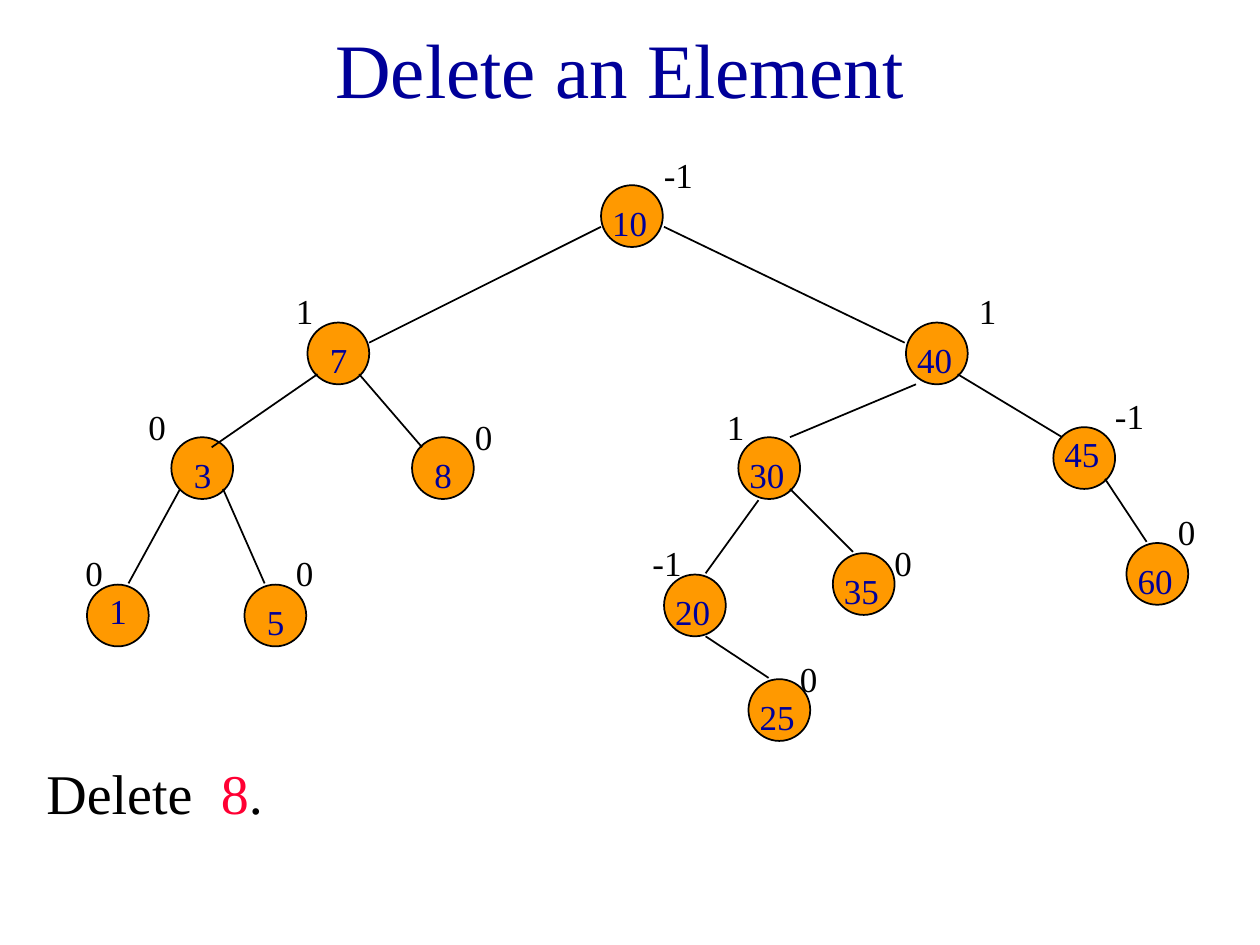
from dataclasses import dataclass
from typing import NamedTuple

from pptx import Presentation
from pptx.dml.color import RGBColor
from pptx.enum.shapes import MSO_CONNECTOR, MSO_SHAPE
from pptx.enum.text import MSO_ANCHOR, MSO_AUTO_SIZE, PP_ALIGN
from pptx.oxml.ns import qn
from pptx.util import Inches, Pt


@dataclass(frozen=True)
class Theme:
    font: str = "Times New Roman"
    navy: RGBColor = RGBColor(0x00, 0x00, 0x99)
    black: RGBColor = RGBColor(0x00, 0x00, 0x00)
    white: RGBColor = RGBColor(0xFF, 0xFF, 0xFF)
    orange: RGBColor = RGBColor(0xFF, 0x99, 0x00)
    red: RGBColor = RGBColor(0xFF, 0x00, 0x33)
    title_size: int = 44
    task_size: int = 32
    label_size: int = 20
    line_width: float = 1


class Span(NamedTuple):
    text: str
    color: RGBColor


class Node(NamedTuple):
    key: str
    left: float
    top: float
    balance: str
    balance_left: float
    balance_top: float
    key_drop: float = 0.08


class Edge(NamedTuple):
    x1: float
    y1: float
    x2: float
    y2: float


THEME = Theme()
DIAMETER = 0.49
LABEL_HEIGHT = 0.43
KEY_WIDTH = 0.5

NODES = [
    Node("10", 4.77, 1.47, "-1", 5.17, 1.17),
    Node("7", 2.44, 2.56, "1", 2.25, 2.25),
    Node("40", 7.19, 2.56, "1", 7.67, 2.25),
    Node("3", 1.36, 3.47, "0", 1.08, 3.17),
    Node("8", 3.27, 3.47, "0", 3.67, 3.25),
    Node("30", 5.86, 3.47, "1", 5.67, 3.17),
    Node("45", 8.36, 3.39, "-1", 8.75, 3.08, key_drop=-0.01),
    Node("1", 0.69, 4.64, "0", 0.58, 4.33, key_drop=-0.01),
    Node("5", 1.94, 4.64, "0", 2.25, 4.33),
    Node("20", 5.27, 4.56, "-1", 5.08, 4.25),
    Node("35", 6.61, 4.39, "0", 7, 4.25),
    Node("60", 8.94, 4.31, "0", 9.25, 4),
    Node("25", 5.94, 5.39, "0", 6.25, 5.17),
]

EDGES = [
    Edge(4.77, 1.8, 2.93, 2.72),
    Edge(5.27, 1.8, 7.18, 2.72),
    Edge(2.52, 2.97, 1.68, 3.55),
    Edge(2.85, 2.97, 3.35, 3.55),
    Edge(7.27, 3.05, 6.27, 3.47),
    Edge(7.6, 2.97, 8.43, 3.47),
    Edge(1.43, 3.88, 1.02, 4.63),
    Edge(1.77, 3.88, 2.1, 4.63),
    Edge(6.02, 3.97, 5.6, 4.55),
    Edge(6.27, 3.88, 6.77, 4.38),
    Edge(8.77, 3.8, 9.1, 4.3),
    Edge(5.6, 5.05, 6.1, 5.38),
]


def write(box, spans: list[Span], size: int, align=PP_ALIGN.LEFT, **frame_format) -> None:
    """Fill a shape's single paragraph with coloured spans."""
    frame = box.text_frame
    for name, value in frame_format.items():
        setattr(frame, name, value)
    para = frame.paragraphs[0]
    para.alignment = align
    for span in spans:
        run = para.add_run()
        run.text = span.text
        run.font.color.rgb = span.color
        for name, value in {"name": THEME.font, "size": Pt(size), "bold": False}.items():
            setattr(run.font, name, value)


def add_title(page, text: str) -> None:
    title = page.shapes.title
    bounds = {"left": 0.67, "top": 0, "width": 8.5, "height": 1.08}
    for name, value in bounds.items():
        setattr(title, name, Inches(value))
    write(title, [Span(text, THEME.navy)], THEME.title_size, PP_ALIGN.CENTER,
          vertical_anchor=MSO_ANCHOR.MIDDLE, auto_size=MSO_AUTO_SIZE.NONE)


def add_circle(page, node: Node) -> None:
    circle = page.shapes.add_shape(MSO_SHAPE.OVAL, Inches(node.left), Inches(node.top),
                                   Inches(DIAMETER), Inches(DIAMETER))
    circle.shadow.inherit = False
    circle.fill.solid()
    circle.fill.fore_color.rgb = THEME.orange
    circle.line.color.rgb = THEME.black
    circle.line.width = Pt(THEME.line_width)


def add_edge(page, edge: Edge) -> None:
    line = page.shapes.add_connector(MSO_CONNECTOR.STRAIGHT, *map(Inches, edge))
    line.line.color.rgb = THEME.black
    line.line.width = Pt(THEME.line_width)
    properties = line._element.spPr
    properties.append(properties.makeelement(qn("a:effectLst"), {}))


def add_label(page, span: Span, left: float, top: float, width: float, wrap: bool) -> None:
    box = page.shapes.add_textbox(Inches(left), Inches(top), Inches(width), Inches(LABEL_HEIGHT))
    write(box, [span], THEME.label_size, word_wrap=wrap,
          auto_size=MSO_AUTO_SIZE.SHAPE_TO_FIT_TEXT)


def add_balance(page, node: Node) -> None:
    width = 0.34 if len(node.balance) == 1 else 0.43
    add_label(page, Span(node.balance, THEME.black), node.balance_left, node.balance_top,
              width, wrap=False)


def add_key(page, node: Node) -> None:
    """Write the key over its circle, moving one-digit keys right to centre them."""
    shift = 0.08 if len(node.key) == 1 else -0.01
    add_label(page, Span(node.key, THEME.navy), node.left + shift, node.top + node.key_drop,
              KEY_WIDTH, wrap=True)


def add_task(page) -> None:
    box = page.shapes.add_shape(MSO_SHAPE.RECTANGLE, Inches(0.27), Inches(5.97),
                                Inches(2.48), Inches(0.63))
    box.shadow.inherit = False
    box.fill.solid()
    box.fill.fore_color.rgb = THEME.white
    box.line.fill.background()
    spans = [Span("Delete ", THEME.black), Span(" 8", THEME.red), Span(".", THEME.black)]
    write(box, spans, THEME.task_size, word_wrap=True, vertical_anchor=MSO_ANCHOR.TOP,
          auto_size=MSO_AUTO_SIZE.SHAPE_TO_FIT_TEXT)


def main() -> None:
    deck = Presentation()
    deck.slide_width, deck.slide_height = Inches(10), Inches(7.5)
    page = deck.slides.add_slide(deck.slide_layouts.get_by_name("Title Only"))
    add_title(page, "Delete an Element")
    for node in NODES:
        add_circle(page, node)
    for edge in EDGES:
        add_edge(page, edge)
    for node in NODES:
        add_balance(page, node)
    for node in NODES:
        add_key(page, node)
    add_task(page)
    deck.save("out.pptx")


if __name__ == "__main__":
    main()
